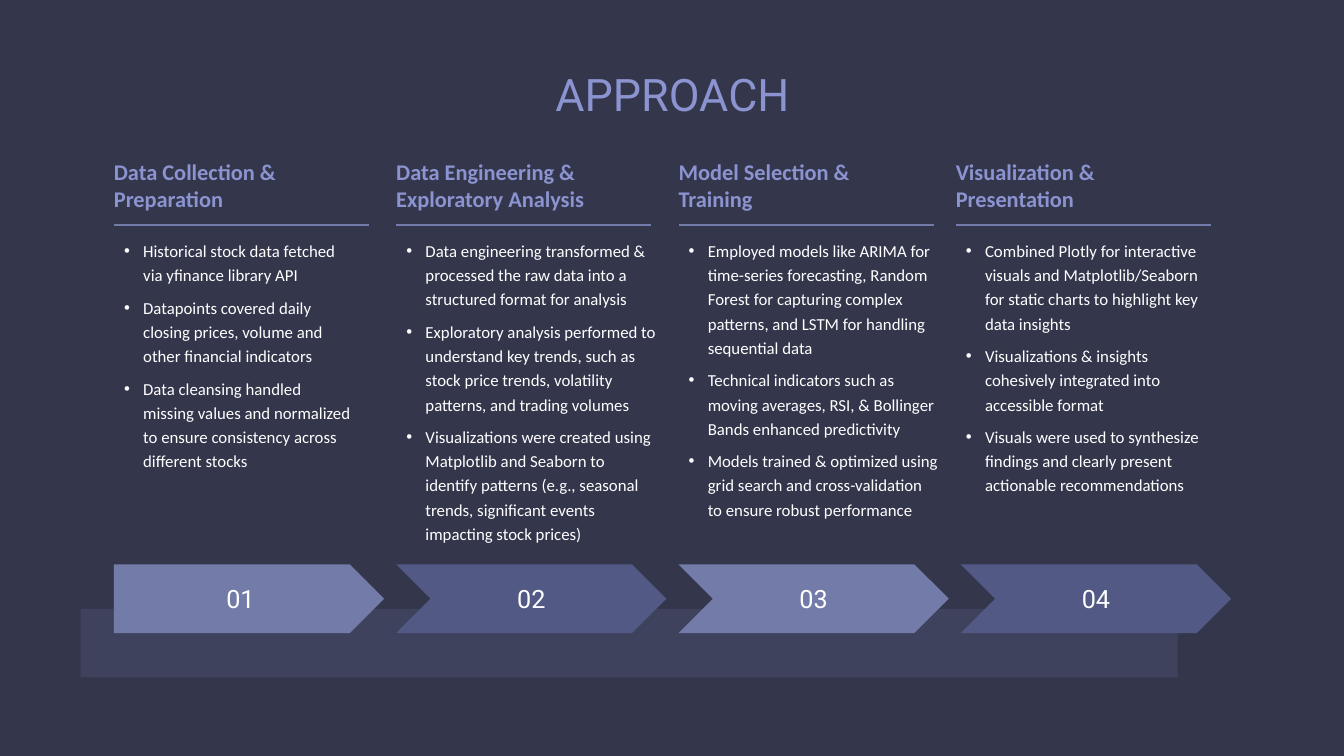
from lxml import etree
from pptx import Presentation
from pptx.dml.color import RGBColor
from pptx.enum import shapes, text
from pptx.oxml import ns
from pptx.util import Inches, Pt

TITLE = "APPROACH"
# heading, left edge, bullet points
STAGES = [
    ("Data Collection &\nPreparation", 1.13, [
        "Historical stock data fetched \nvia yfinance library API",
        "Datapoints covered daily \nclosing prices, volume and \nother financial indicators",
        "Data cleansing handled \nmissing values and normalized \n"
        "to ensure consistency across \ndifferent stocks",
    ]),
    ("Data Engineering &\nExploratory Analysis", 3.93, [
        "Data engineering transformed & processed the raw data into a \n"
        "structured format for analysis",
        "Exploratory analysis performed to understand key trends, such as \n"
        "stock price trends, volatility \npatterns, and trading volumes",
        "Visualizations were created using Matplotlib and Seaborn to \n"
        "identify patterns (e.g., seasonal \ntrends, significant events \n"
        "impacting stock prices)",
    ]),
    ("Model Selection & \nTraining", 6.73, [
        "Employed models like ARIMA for time-series forecasting, Random "
        "Forest for capturing complex \npatterns, and LSTM for handling \nsequential data",
        "Technical indicators such as \nmoving averages, RSI, & Bollinger "
        "Bands enhanced predictivity",
        "Models trained & optimized using grid search and cross-validation \n"
        "to ensure robust performance",
    ]),
    ("Visualization & \nPresentation", 9.48, [
        "Combined Plotly for interactive \nvisuals and Matplotlib/Seaborn\n"
        "for static charts to highlight key \ndata insights",
        "Visualizations & insights \ncohesively integrated into \naccessible format",
        "Visuals were used to synthesize \nfindings and clearly present \n"
        "actionable recommendations",
    ]),
]

BACKGROUND = RGBColor(0x34, 0x37, 0x4C)
BAND = RGBColor(0x49, 0x4E, 0x6C)
LAVENDER = RGBColor(0x8B, 0x93, 0xD0)
LIGHT = RGBColor(0x73, 0x7B, 0xA9)
DARK = RGBColor(0x51, 0x59, 0x84)
WHITE = RGBColor(0xFF, 0xFF, 0xFF)

ARROW_LEFT, ARROW_STEP = 1.13, 2.8
ARROW_TOP, ARROW_WIDTH, ARROW_HEIGHT = 5.6, 2.68, 0.68
RULE_TOP, RULE_WIDTH = 2.23, 2.53
BULLET_INDENT = Inches(0.19)

prs = Presentation()
prs.slide_width, prs.slide_height = Inches(13.33), Inches(7.5)
slide = prs.slides.add_slide(prs.slide_layouts[6])
slide.background.fill.solid()
slide.background.fill.fore_color.rgb = BACKGROUND


def style(paragraph, size, font, color, bold=False):
    for run in paragraph.runs:
        run.font.size, run.font.name, run.font.bold = Pt(size), font, bold
        run.font.color.rgb = color


def add_frame(left, top, width, height, inset_left=0, inset_top=0.05):
    """Add a wrapping text box and return its text frame."""
    frame = slide.shapes.add_textbox(*map(Inches, (left, top, width, height))).text_frame
    frame.word_wrap = True
    frame.margin_left, frame.margin_top = Inches(inset_left), Inches(inset_top)
    return frame


def add_block(preset, left, top, width, height, color):
    block = slide.shapes.add_shape(preset, *map(Inches, (left, top, width, height)))
    block.shadow.inherit = False
    block.fill.solid()
    block.fill.fore_color.rgb = color
    block.line.fill.background()
    return block


def add_arrow(index):
    preset = shapes.MSO_SHAPE.CHEVRON if index else shapes.MSO_SHAPE.PENTAGON
    arrow = add_block(preset, ARROW_LEFT + index * ARROW_STEP, ARROW_TOP,
                      ARROW_WIDTH, ARROW_HEIGHT, DARK if index % 2 else LIGHT)
    arrow.text_frame.vertical_anchor = text.MSO_ANCHOR.MIDDLE
    number = arrow.text_frame.paragraphs[0]
    number.text = f"{index + 1:02d}"
    number.alignment = text.PP_ALIGN.CENTER
    style(number, 18, "Roboto", WHITE)


def add_rule(left):
    rule = slide.shapes.add_connector(
        shapes.MSO_CONNECTOR.STRAIGHT,
        *map(Inches, (left, RULE_TOP, left + RULE_WIDTH, RULE_TOP)))
    rule.line.color.rgb = LIGHT
    rule.line.width = Pt(1.5)
    etree.SubElement(rule._element.spPr, ns.qn("a:effectLst"))


def add_points(left, points):
    frame = add_frame(left, 2.3, 2.58, 2.41)
    for index, point in enumerate(points):
        paragraph = frame.add_paragraph() if index else frame.paragraphs[0]
        paragraph.text = point
        paragraph.line_spacing, paragraph.space_after = 1.2, Pt(6)
        style(paragraph, 12, "Calibri", WHITE)
        props = paragraph._p.get_or_add_pPr()
        props.set("marL", str(BULLET_INDENT))
        props.set("indent", str(-BULLET_INDENT))
        etree.SubElement(props, ns.qn("a:buFont")).set("typeface", "Arial")
        etree.SubElement(props, ns.qn("a:buChar")).set("char", "•")


title = add_frame(0.92, 0.63, 11.5, 0.57, 0.1, 0.03).paragraphs[0]
title.text = TITLE
title.alignment = text.PP_ALIGN.CENTER
style(title, 32, "Roboto", LAVENDER)

band = add_block(shapes.MSO_SHAPE.RECTANGLE, 0.8, 6.04, 10.88, 0.68, BAND)
band_color = band._element.spPr.find(ns.qn("a:solidFill"))[0]
etree.SubElement(band_color, ns.qn("a:alpha")).set("val", "50000")

for index, (heading, left, points) in enumerate(STAGES):
    add_arrow(index)
    add_points(left + 0.1, points)
    heading_line = add_frame(left, 1.52, 2.68, 0.64).paragraphs[0]
    heading_line.text = heading
    style(heading_line, 16, "Calibri", LAVENDER, bold=True)
    add_rule(left)

prs.save("out.pptx")
